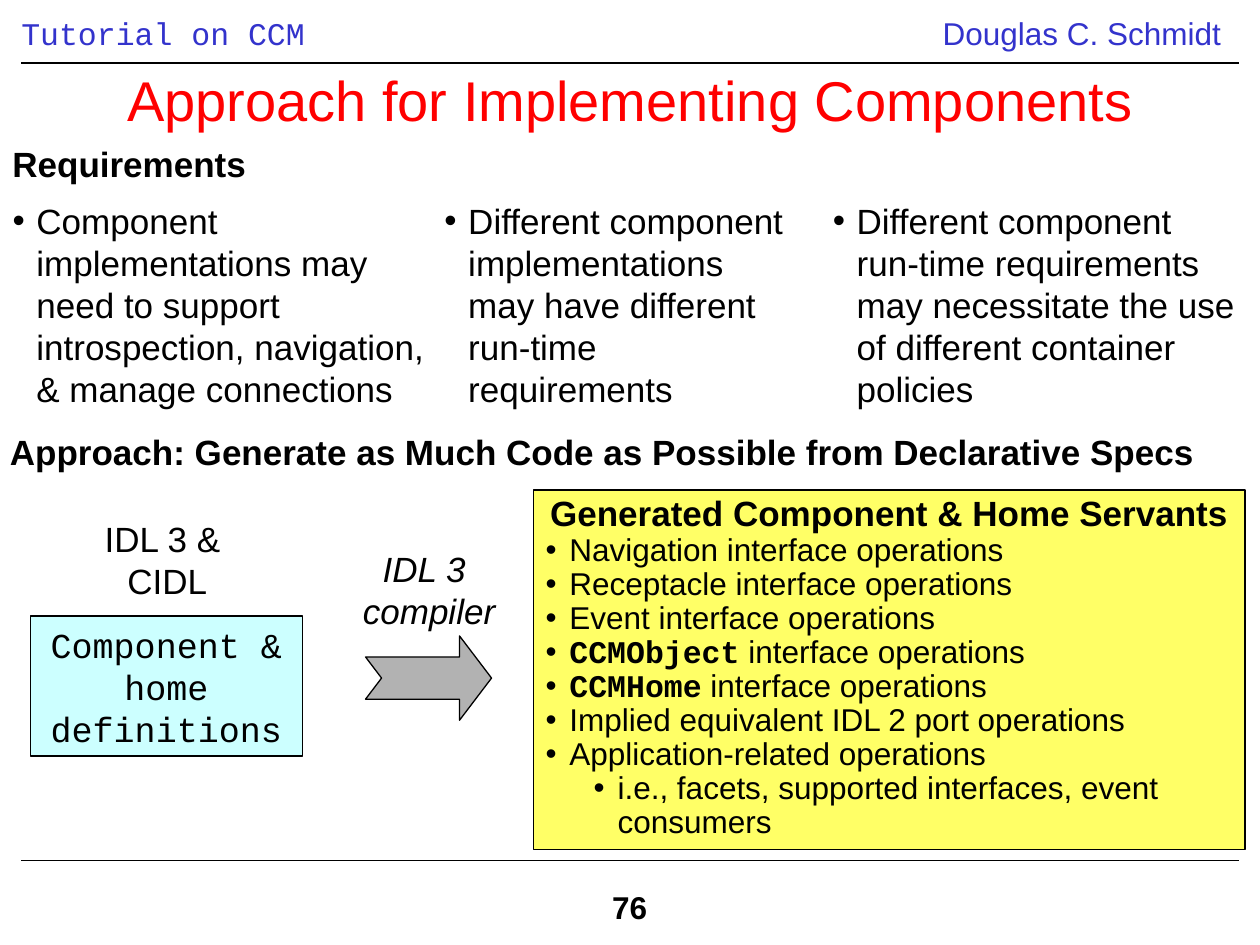
from dataclasses import dataclass

from lxml import etree
from pptx import Presentation
from pptx.dml.color import RGBColor
from pptx.enum.shapes import MSO_CONNECTOR, MSO_SHAPE
from pptx.enum.text import MSO_ANCHOR, MSO_AUTO_SIZE, PP_ALIGN
from pptx.oxml.ns import qn
from pptx.util import Cm, Pt

LEFT, CENTER = PP_ALIGN.LEFT, PP_ALIGN.CENTER
TOP, MIDDLE = MSO_ANCHOR.TOP, MSO_ANCHOR.MIDDLE
NO_AUTOFIT = MSO_AUTO_SIZE.NONE
RECTANGLE, ARROW = MSO_SHAPE.RECTANGLE, MSO_SHAPE.NOTCHED_RIGHT_ARROW
STRAIGHT = MSO_CONNECTOR.STRAIGHT


@dataclass(frozen=True)
class Theme:
    sans: str = "Arial"
    mono: str = "Courier New"
    black: RGBColor = RGBColor(0x00, 0x00, 0x00)
    white: RGBColor = RGBColor(0xFF, 0xFF, 0xFF)
    title_red: RGBColor = RGBColor(0xFF, 0x00, 0x00)
    header_blue: RGBColor = RGBColor(0x33, 0x33, 0xCC)
    input_cyan: RGBColor = RGBColor(0xCC, 0xFF, 0xFF)
    arrow_gray: RGBColor = RGBColor(0xB2, 0xB2, 0xB2)
    output_yellow: RGBColor = RGBColor(0xFF, 0xFF, 0x66)
    title_size: Pt = Pt(32)
    text_size: Pt = Pt(20)
    small_size: Pt = Pt(18)
    line_width: Pt = Pt(0.75)


theme = Theme()
HANGING = Cm(0.48)
SUB_INDENT = Cm(1.45)
LINE_BREAK = ("\n", {})


def add_paragraph(shape, runs, color=theme.black, align=LEFT, indent=0,
                  bullet=False, spacing=1.0, level=0, **font_format):
    """Write (text, font overrides) runs into the next free paragraph."""
    frame = shape.text_frame
    paragraph = frame.paragraphs[0]
    if paragraph.runs:
        paragraph = frame.add_paragraph()
    paragraph_format = {"alignment": align, "line_spacing": spacing,
                        "space_before": Pt(0), "level": level}
    for name, value in paragraph_format.items():
        setattr(paragraph, name, value)
    if indent:
        properties = paragraph._p.get_or_add_pPr()
        properties.set("marL", str(indent))
        properties.set("indent", str(-HANGING))
        if bullet:
            etree.SubElement(properties, qn("a:buFont")).set("typeface", theme.sans)
            etree.SubElement(properties, qn("a:buChar")).set("char", "•")
    for text, overrides in runs:
        if text == "\n":
            paragraph.add_line_break()
            continue
        run = paragraph.add_run()
        run.text = text
        values = {"name": theme.sans, "size": theme.text_size, "bold": False}
        for name, value in (values | font_format | overrides).items():
            setattr(run.font, name, value)
        run.font.color.rgb = color


def place(shape, left, top, width, height, fill=None, outlined=False, **frame_format):
    """Position a shape (in cm) and set its surface and text frame."""
    box = {"left": left, "top": top, "width": width, "height": height}
    for name, value in box.items():
        setattr(shape, name, Cm(value))
    if fill is not None:
        shape.shadow.inherit = False
        shape.fill.solid()
        shape.fill.fore_color.rgb = fill
        if outlined:
            shape.line.color.rgb = theme.black
            shape.line.width = theme.line_width
        else:
            shape.line.fill.background()
    values = {"word_wrap": True, "auto_size": NO_AUTOFIT, "vertical_anchor": TOP}
    for name, value in (values | frame_format).items():
        setattr(shape.text_frame, name, value)
    return shape


presentation = Presentation()
presentation.slide_width = Cm(25.4)
presentation.slide_height = Cm(19.05)
slide = presentation.slides.add_slide(presentation.slide_layouts[1])
shapes = slide.shapes
title, body = slide.placeholders

# Running header, rules and page number
course = place(shapes.add_textbox(0, 0, 0, 0), 0.43, 0.15, 15.04, 1.02,
               margin_left=0, margin_right=0)
add_paragraph(course, [("Tutorial on CCM", {})], theme.header_blue,
              name=theme.mono, size=theme.small_size)
author = place(shapes.add_textbox(0, 0, 0, 0), 18.62, 0.15, 6.38, 1.02)
add_paragraph(author, [("Douglas C. Schmidt", {})], theme.header_blue, CENTER,
              size=theme.small_size)
for rule_top in (1.27, 17.35):
    rule = shapes.add_connector(STRAIGHT, Cm(0.43), Cm(rule_top), Cm(24.97), Cm(rule_top))
    rule.line.color.rgb = theme.black
    rule.line.width = theme.line_width
    etree.SubElement(rule._element.spPr, qn("a:effectLst"))
page_number = place(shapes.add_shape(RECTANGLE, 0, 0, 0, 0), 12.09, 17.78, 1.3, 1.02,
                    theme.white, word_wrap=False)
add_paragraph(page_number, [("76", {})], size=theme.small_size, bold=True)

# Title and section headings
place(title, 0.43, 1.47, 24.56, 1.07, vertical_anchor=MIDDLE)
add_paragraph(title, [("Approach for Implementing Components", {})],
              theme.title_red, CENTER, size=theme.title_size)
requirements = place(shapes.add_textbox(0, 0, 0, 0), 0, 2.74, 5.21, 1.09, word_wrap=False)
add_paragraph(requirements, [("Requirements", {})], bold=True)
approach = place(shapes.add_textbox(0, 0, 0, 0), -0.05, 8.56, 24.46, 1.19)
add_paragraph(
    approach,
    [("Approach: Generate as Much Code as Possible from Declarative Specs", {})],
    indent=HANGING, bold=True)

# Requirements in three columns
columns = [
    (body, 0, 8.86, "Component implementations may need to support introspection, "
                    "navigation, & manage connections"),
    (shapes.add_textbox(0, 0, 0, 0), 8.71, 7.62,
     "Different component implementations may have different run-time requirements"),
    (shapes.add_textbox(0, 0, 0, 0), 16.54, 8.64,
     "Different component run-time requirements may necessitate the use of "
     "different container policies"),
]
for column, left, width, text in columns:
    place(column, left, 3.89, width, 6.63)
    add_paragraph(column, [(text, {})], indent=HANGING, bullet=True)

# Definitions, compiler arrow and their labels
definitions = place(shapes.add_shape(RECTANGLE, 0, 0, 0, 0), 0.61, 12.42, 5.49, 2.82,
                    theme.input_cyan, True, vertical_anchor=MIDDLE)
add_paragraph(definitions, [("Component & home", {}), LINE_BREAK, ("definitions", {})],
              align=CENTER, name=theme.mono)
arrow = place(shapes.add_shape(ARROW, 0, 0, 0, 0), 7.37, 12.82, 2.54, 1.7,
              theme.arrow_gray, True)
arrow.adjustments[0] = 0.5
arrow.adjustments[1] = 0.38
labels = [
    ((1.47, 10.31, 3.81, 2.0), ("IDL 3 & ", "CIDL"), False),
    ((5.36, 10.92, 6.58, 2.18), ("IDL 3 ", "compiler"), True),
]
for box, lines, italic in labels:
    label = place(shapes.add_textbox(0, 0, 0, 0), *box)
    for line in lines:
        add_paragraph(label, [(line, {})], align=CENTER, indent=HANGING, italic=italic)

# Generated servants
servants = place(shapes.add_shape(RECTANGLE, 0, 0, 0, 0), 10.75, 9.88, 14.35, 7.24,
                 theme.output_yellow, True)
add_paragraph(servants, [("Generated Component & Home Servants", {})], align=CENTER,
              indent=HANGING, spacing=0.9, bold=True)
code = {"name": theme.mono, "bold": True}
operations = [
    [("Navigation interface operations", {})],
    [("Receptacle interface operations", {})],
    [("Event interface operations", {})],
    [("CCMObject", code), (" interface operations", {})],
    [("CCMHome", code), (" interface operations", {})],
    [("Implied equivalent IDL 2 port operations", {})],
    [("Application-related operations", {})],
]
for runs in operations:
    add_paragraph(servants, runs, indent=HANGING, bullet=True, spacing=0.9,
                  size=theme.small_size)
add_paragraph(servants, [("i.e., facets, supported interfaces, event consumers", {})],
              indent=SUB_INDENT, bullet=True, spacing=0.9, level=1, size=theme.small_size)

presentation.save("out.pptx")
